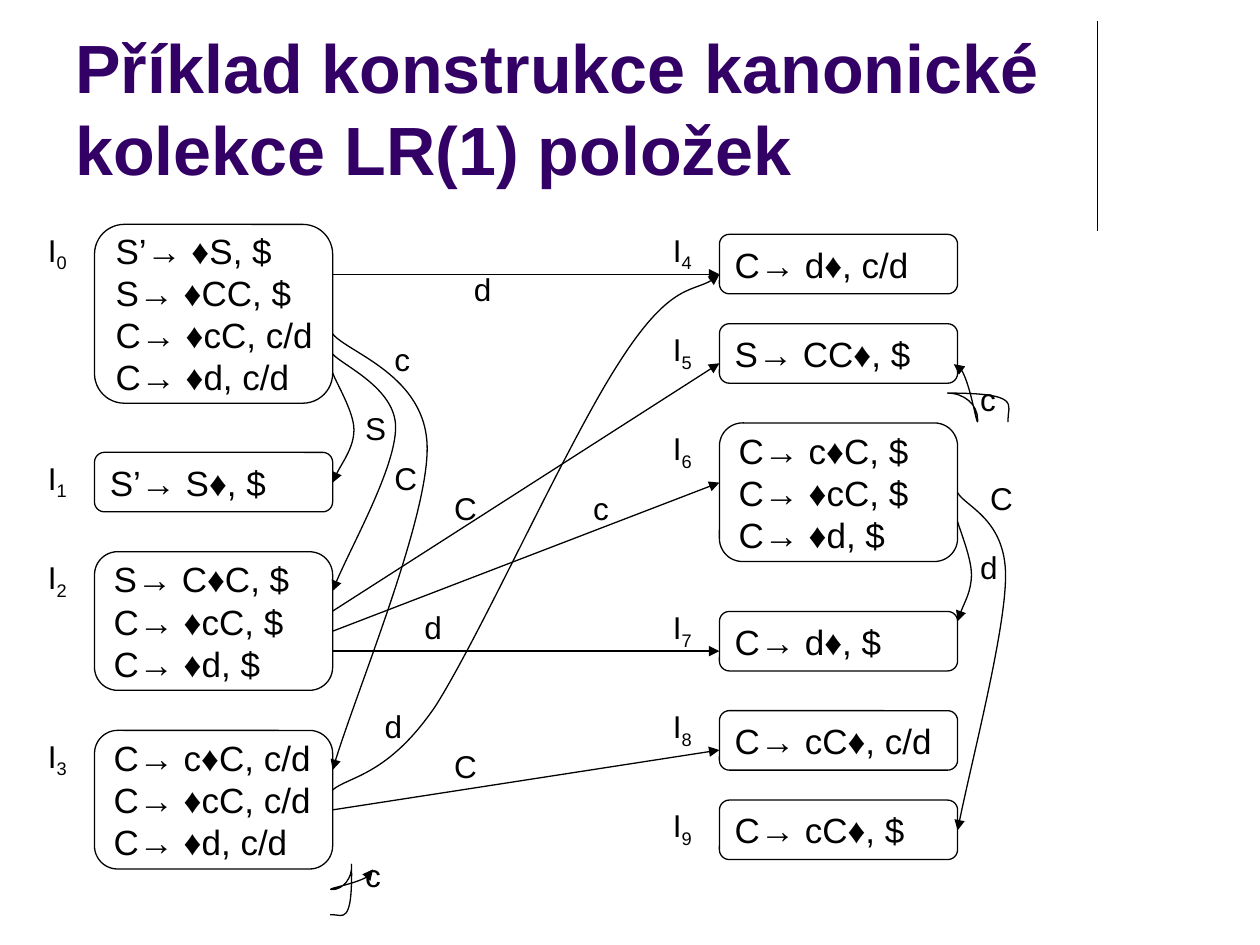
import math

import pptx
import pptx.dml.color
import pptx.enum.shapes
import pptx.enum.text
import pptx.oxml
import pptx.oxml.ns
import pptx.util
from pptx.util import Pt

FONT = "Arial"
BLACK = "000000"
PURPLE = "330066"
LEFT, RIGHT = 54, 411.1  # left edges of the two columns of states
BOX_WIDTH = 136.1
LEFT_EXIT, RIGHT_EXIT = LEFT + BOX_WIDTH, RIGHT + BOX_WIDTH
LABEL_OFFSET = 33.7
HEIGHTS = {1: 34, 3: 79.2, 4: 102.2}  # box height by number of items
SYMBOL_WIDTHS = {"c": 23, "d": 24.5, "C": 27.4, "S": 26}
NAMESPACE = pptx.oxml.ns.nsdecls("a")

# number, column, top, rise of the label above the box, items
STATES = [
    (0, LEFT, 128.2, 0, ["S’→ ♦S, $", "S→ ♦CC, $", "C→ ♦cC, c/d", "C→ ♦d, c/d"]),
    (1, LEFT, 258.5, 0, ["S’→ S♦, $"]),
    (2, LEFT, 315.3, 0, ["S→ C♦C, $", "C→ ♦cC, $", "C→ ♦d, $"]),
    (3, LEFT, 417.4, 0, ["C→ c♦C, c/d", "C→ ♦cC, c/d", "C→ ♦d, c/d"]),
    (4, RIGHT, 133.9, 5.7, ["C→ d♦, c/d"]),
    (5, RIGHT, 185, 0, ["S→ CC♦, $"]),
    (6, RIGHT, 241.7, 0, ["C→ c♦C, $", "C→ ♦cC, $", "C→ ♦d, $"]),
    (7, RIGHT, 349.4, 5.7, ["C→ d♦, $"]),
    (8, RIGHT, 406.1, 5.7, ["C→ cC♦, c/d"]),
    (9, RIGHT, 457.2, 0, ["C→ cC♦, $"]),
]

# start and end heights of the straight transitions between the columns
STRAIGHT = [(156.7, 156.7), (349.2, 207.6), (360.7, 275.8), (372.1, 372.1), (462.8, 428.6)]

# Bézier points: the start, then two controls and an end for each segment
CURVED = [
    [(LEFT_EXIT, 213), (192.2, 218.9), (202.3, 235.4), (202.3, 245.5),
     (202.3, 255.6), (192.2, 269.3), (LEFT_EXIT, 275.8)],
    [(LEFT_EXIT, 202.3), (195.8, 208.8), (226.1, 221.8), (226.1, 244.1),
     (226.1, 267.1), (197.3, 318.2), (LEFT_EXIT, 337.7)],
    [(LEFT_EXIT, 190.8), (198.7, 201.6), (244.1, 214.6), (244.1, 256.3),
     (244.1, 298.1), (200.9, 401.8), (LEFT_EXIT, 440)],
    [(LEFT_EXIT, 451.4), (199.4, 443.5), (221.8, 443.5), (249.1, 403.2),
     (275.8, 360.7), (323.3, 254.9), (352.8, 208.8),
     (382.3, 162), (398.9, 167.8), (RIGHT, 157)],
    [(RIGHT_EXIT, 298.1), (548.6, 303.1), (555.1, 319), (555.1, 328.3),
     (555.1, 337.7), (548.6, 349.2), (RIGHT_EXIT, 355)],
    [(RIGHT_EXIT, 281.5), (551.5, 289.4), (574.6, 296.6), (574.6, 329),
     (574.6, 360.7), (553, 443.5), (RIGHT_EXIT, 474.5)],
]

# loops of a state onto itself: frame before turning, rotation, Bézier points
LOOPS = [
    ((524.2, 224.6, 33.8, 31), 179.9,
     [(545, 208.1), (553, 206.6), (558.7, 247), (558.7, 239.8),
      (558.7, 231.1), (550.8, 224.6), (541.4, 224.6),
      (583.9, 224.6), (576, 231.1), (576, 239.8),
      (576, 240.5), (576, 240.5), (576, 241.2)]),
    ((175.7, 482.4, 28.1, 22.3), 269.9,
     [(213.1, 496.8), (214.6, 503.3), (184.3, 508.3), (190.1, 508.3),
      (195.8, 508.3), (201.6, 501.8), (200.9, 493.9),
      (201.6, 529.2), (195.8, 522.7), (190.1, 522.7),
      (189.4, 522.7), (189.4, 522.7), (188.6, 522.7)]),
]

SYMBOLS = [
    ("S", 201.6, 230.4), ("C", 218.2, 258.5), ("c", 218.2, 190.8),
    ("d", 263.8, 150.8), ("C", 252.4, 275.8), ("c", 331.9, 275.8),
    ("d", 235.4, 343.7), ("d", 212.7, 400.3), ("C", 252.4, 423.4),
    ("c", 201.6, 485.6), ("c", 553, 213.5), ("d", 553, 309.6),
    ("C", 558.7, 270),
]


def color(hex_string):
    return pptx.dml.color.RGBColor.from_string(hex_string)


def style_line(shape, arrow=None):
    """Thin black line; arrow is headEnd, tailEnd or None."""
    shape.line.color.rgb = color(BLACK)
    shape.line.width = Pt(0.75)
    if arrow:
        end = pptx.oxml.parse_xml(f'<a:{arrow} {NAMESPACE} type="triangle"/>')
        shape.line._get_or_add_ln().append(end)


def add_run(paragraph, text, size, hex_string=BLACK, bold=False):
    run = paragraph.add_run()
    run.text = text
    run.font.name = FONT
    run.font.size = Pt(size)
    run.font.bold = bold
    run.font.color.rgb = color(hex_string)
    return run


def add_label(slide, left, top, width, height):
    box = slide.shapes.add_textbox(Pt(left), Pt(top), Pt(width), Pt(height))
    box.text_frame.word_wrap = False
    box.text_frame.auto_size = pptx.enum.text.MSO_AUTO_SIZE.SHAPE_TO_FIT_TEXT
    return box.text_frame.paragraphs[0]


def add_title(slide, text):
    box = slide.shapes.add_textbox(Pt(36), Pt(9.4), Pt(594), Pt(102.2))
    box.text_frame.word_wrap = True
    box.text_frame.vertical_anchor = pptx.enum.text.MSO_ANCHOR.BOTTOM
    add_run(box.text_frame.paragraphs[0], text, 39, PURPLE, bold=True)


def add_state(slide, number, left, top, rise, items):
    # Label with its subscript
    label = add_label(slide, left - LABEL_OFFSET, top - rise, 25.2, 31.7)
    add_run(label, "I", 18)
    add_run(label, str(number), 18).font._element.set("baseline", "-25000")

    # Box with one paragraph for each item
    box = slide.shapes.add_shape(
        pptx.enum.shapes.MSO_SHAPE.ROUNDED_RECTANGLE,
        Pt(left), Pt(top), Pt(BOX_WIDTH), Pt(HEIGHTS[len(items)]))
    box.shadow.inherit = False
    box.fill.background()
    style_line(box)
    frame = box.text_frame
    frame.word_wrap = False
    frame.vertical_anchor = pptx.enum.text.MSO_ANCHOR.MIDDLE
    for index, item in enumerate(items):
        paragraph = frame.add_paragraph() if index else frame.paragraphs[0]
        paragraph.alignment = pptx.enum.text.PP_ALIGN.LEFT
        add_run(paragraph, item, 20)


def add_line(slide, start, end, arrow=None):
    line = slide.shapes.add_connector(
        pptx.enum.shapes.MSO_CONNECTOR.STRAIGHT,
        Pt(start[0]), Pt(start[1]), Pt(end[0]), Pt(end[1]))
    style_line(line, arrow)
    line._element.spPr.append(pptx.oxml.parse_xml(f"<a:effectLst {NAMESPACE}/>"))


def bounds(points):
    """Frame around the points that lie on the curve."""
    xs, ys = zip(*points[::3])
    return min(xs), min(ys), max(xs) - min(xs), max(ys) - min(ys)


def turn_back(points, frame, degrees):
    """Undo a rotation of the points about the centre of the frame."""
    left, top, width, height = frame
    center_x, center_y = left + width / 2, top + height / 2
    cosine, sine = math.cos(math.radians(degrees)), math.sin(math.radians(degrees))
    return [(center_x + (x - center_x) * cosine + (y - center_y) * sine,
             center_y - (x - center_x) * sine + (y - center_y) * cosine)
            for x, y in points]


def add_curve(slide, points, arrow, frame=None, rotation=0):
    left, top, width, height = frame or bounds(points)
    if rotation:
        points = turn_back(points, frame, rotation)
    builder = slide.shapes.build_freeform(Pt(points[0][0]), Pt(points[0][1]))
    builder.add_line_segments([(Pt(x), Pt(y)) for x, y in points[3::3]], close=False)
    curve = builder.convert_to_shape()
    curve.left, curve.top, curve.width, curve.height = map(Pt, (left, top, width, height))
    curve.rotation = rotation

    # Bézier segments in place of the straight ones
    outline = curve._element.xpath(".//a:path")[0]
    outline.set("w", str(Pt(width)))
    outline.set("h", str(Pt(height)))
    marks = [f'<a:pt x="{Pt(x - left)}" y="{Pt(y - top)}"/>' for x, y in points]
    for segment in list(outline):
        outline.remove(segment)
    outline.append(pptx.oxml.parse_xml(f"<a:moveTo {NAMESPACE}>{marks[0]}</a:moveTo>"))
    for first in range(1, len(marks), 3):
        outline.append(pptx.oxml.parse_xml(
            f'<a:cubicBezTo {NAMESPACE}>{"".join(marks[first:first + 3])}</a:cubicBezTo>'))

    curve.shadow.inherit = False
    curve.fill.background()
    style_line(curve, arrow)


def main():
    presentation = pptx.Presentation()
    presentation.slide_width = Pt(720)
    presentation.slide_height = Pt(540)
    slide = presentation.slides.add_slide(presentation.slide_layouts[6])

    # Heading and its vertical rule
    add_line(slide, (627, 12.2), (627, 131.8))
    add_title(slide, "Příklad konstrukce kanonické kolekce LR(1) položek")

    # Transitions
    for start, end in STRAIGHT:
        add_line(slide, (LEFT_EXIT, start), (RIGHT, end), "tailEnd")
    for points in CURVED:
        add_curve(slide, points, "tailEnd")
    for frame, rotation, points in LOOPS:
        add_curve(slide, points, "headEnd", frame, rotation)
    for symbol, left, top in SYMBOLS:
        add_run(add_label(slide, left, top, SYMBOL_WIDTHS[symbol], 28.8), symbol, 18)

    # States
    for state in STATES:
        add_state(slide, *state)

    presentation.save("out.pptx")


if __name__ == "__main__":
    main()
